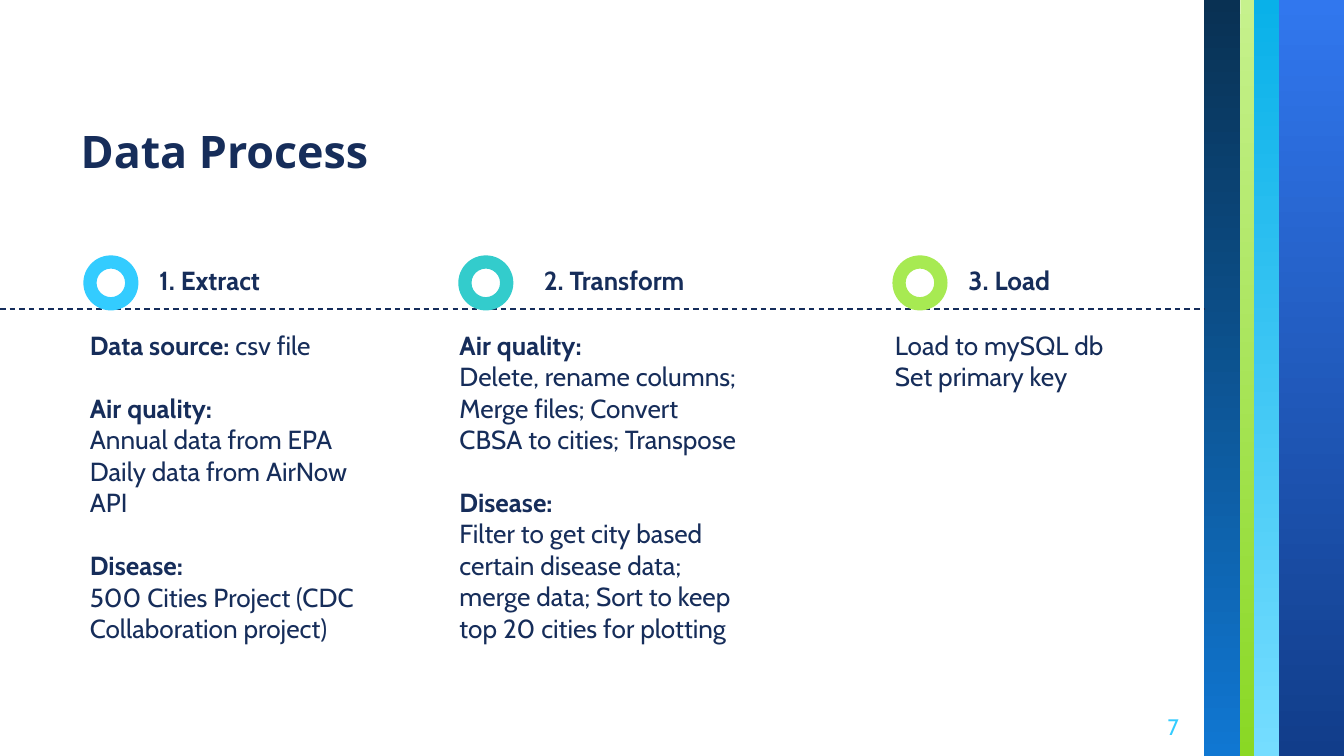
from dataclasses import dataclass

from lxml import etree
from pptx import Presentation
from pptx.dml.color import RGBColor
from pptx.enum.dml import MSO_LINE
from pptx.enum.shapes import MSO_CONNECTOR, MSO_SHAPE
from pptx.enum.text import MSO_ANCHOR, MSO_AUTO_SIZE, PP_ALIGN
from pptx.oxml.ns import qn
from pptx.util import Inches, Pt


@dataclass(frozen=True)
class Theme:
    navy: str = "162D5A"
    sky: str = "33CCFF"
    teal: str = "33CCCC"
    lime: str = "A7EA52"
    heading_font: str = "Open Sans"
    body_font: str = "Cabin"
    title_size: float = 24
    body_size: float = 14
    number_size: float = 12
    group_gap: float = 17  # one line of body text


THEME = Theme()
WIDTH = 10
HEIGHT = WIDTH * 9 / 16
STRIPES_LEFT = 8.96
TIMELINE_TOP = 2.3

# Left, width, top colour, bottom colour
STRIPES = [
    (9.51, 0.49, "3177EE", "113D8A"),
    (9.32, 0.2, "09B1E9", "75DDFF"),
    (9.23, 0.1, "C6F18D", "8AD824"),
    (STRIPES_LEFT, 0.27, "093153", "1077D2"),
]

# Each step holds groups of lines; each line is a (bold lead, plain text) pair
STEPS = [
    dict(left=0.57, ring_dx=0.05, label_dx=0.38, label_width=1.22,
         color=THEME.sky, label="1. Extract", groups=[
             [("Data source: ", "csv file")],
             [("Air quality:", ""), ("", "Annual data from EPA"),
              ("", "Daily data from AirNow API")],
             [("Disease:", ""),
              ("", "500 Cities Project (CDC Collaboration project)")],
         ]),
    dict(left=3.32, ring_dx=0.09, label_dx=0.4, label_width=1.7,
         color=THEME.teal, label="2. Transform", groups=[
             [("Air quality:", ""),
              ("", "Delete, rename columns; Merge files; Convert CBSA to "
                   "cities; Transpose")],
             [("Disease:", ""),
              ("", "Filter to get city based certain disease data; merge "
                   "data; Sort to keep top 20 cities for plotting")],
         ]),
    dict(left=6.56, ring_dx=0.08, label_dx=0.34, label_width=1.22,
         color=THEME.lime, label="3. Load", groups=[
             [("", "Load to mySQL db"), ("", "Set primary key")],
         ]),
]


def apply_format(target, values):
    for name, value in values.items():
        setattr(target, name, value)


def format_frame(frame, anchor=MSO_ANCHOR.TOP):
    inset = Inches(0.1)
    apply_format(frame, dict(
        word_wrap=True, auto_size=MSO_AUTO_SIZE.NONE, vertical_anchor=anchor,
        margin_left=inset, margin_right=inset,
        margin_top=inset, margin_bottom=inset))
    return frame


def add_frame(slide, box, anchor=MSO_ANCHOR.TOP):
    return format_frame(
        slide.shapes.add_textbox(*map(Inches, box)).text_frame, anchor)


def add_run(paragraph, text, size=THEME.body_size, bold=False,
            color=THEME.navy, font=THEME.body_font):
    run = paragraph.add_run()
    run.text = text
    apply_format(run.font, dict(name=font, size=Pt(size), bold=bold))
    run.font.color.rgb = RGBColor.from_string(color)


def add_plain_shape(slide, kind, box):
    shape = slide.shapes.add_shape(kind, *map(Inches, box))
    shape.shadow.inherit = False
    shape.line.fill.background()
    return shape


def add_stripes(slide, top, height):
    for left, width, *colors in STRIPES:
        stripe = add_plain_shape(slide, MSO_SHAPE.RECTANGLE,
                                 (left, top, width, height))
        stripe.fill.gradient()
        stripe.fill.gradient_angle = 270  # runs from top to bottom
        for stop, color in zip(stripe.fill.gradient_stops, colors):
            stop.color.rgb = RGBColor.from_string(color)


def add_title(slide, box, text):
    title = slide.shapes.title
    apply_format(title, dict(zip(("left", "top", "width", "height"),
                                 map(Inches, box))))
    paragraph = format_frame(title.text_frame, MSO_ANCHOR.BOTTOM).paragraphs[0]
    paragraph.alignment = PP_ALIGN.LEFT
    add_run(paragraph, text, THEME.title_size, True, font=THEME.heading_font)


def add_page_number(slide, box, number):
    paragraph = add_frame(slide, box, MSO_ANCHOR.MIDDLE).paragraphs[0]
    paragraph.alignment = PP_ALIGN.RIGHT
    add_run(paragraph, number, THEME.number_size, color=THEME.sky)


def add_timeline(slide, left, right, top):
    timeline = slide.shapes.add_connector(
        MSO_CONNECTOR.STRAIGHT, *map(Inches, (left, top, right, top)))
    apply_format(timeline.line, dict(width=Pt(0.75), dash_style=MSO_LINE.DASH))
    timeline.line.color.rgb = RGBColor.from_string(THEME.navy)
    etree.SubElement(timeline._element.spPr, qn("a:effectLst"))


def add_step(slide, box, step):
    left, top, width, height = box

    # Ring marker
    ring = add_plain_shape(slide, MSO_SHAPE.DONUT,
                           (left + step["ring_dx"], top + 0.03, 0.41, 0.41))
    ring.adjustments[0] = 0.241
    ring.fill.solid()
    ring.fill.fore_color.rgb = RGBColor.from_string(step["color"])

    # Step label
    label = add_frame(slide, (left + step["label_dx"], top,
                              step["label_width"], 0.41)).paragraphs[0]
    label.alignment = PP_ALIGN.CENTER
    add_run(label, step["label"], bold=True)

    # Details below the timeline
    details = add_frame(slide, (left, top + 0.48, width, height - 0.48))
    paragraph = details.paragraphs[0]
    for group_index, group in enumerate(step["groups"]):
        for line_index, (lead, text) in enumerate(group):
            if group_index or line_index:
                paragraph = details.add_paragraph()
            if group_index and not line_index:
                paragraph.space_before = Pt(THEME.group_gap)
            for part, bold in ((lead, True), (text, False)):
                if part:
                    add_run(paragraph, part, bold=bold)


def main():
    deck = Presentation()
    deck.slide_width, deck.slide_height = Inches(WIDTH), Inches(HEIGHT)
    slide = deck.slides.add_slide(deck.slide_layouts.get_by_name("Title Only"))

    add_stripes(slide, 0, HEIGHT)
    add_title(slide, (0.5, 0.62, 5.8, 0.8), "Data Process")
    add_page_number(slide, (8.27, 5.19, 0.6, 0.43), "7")
    add_timeline(slide, 0, STRIPES_LEFT, TIMELINE_TOP)
    for step in STEPS:
        add_step(slide, (step["left"], 1.87, 2.31, 3.61), step)

    deck.save("out.pptx")


if __name__ == "__main__":
    main()
